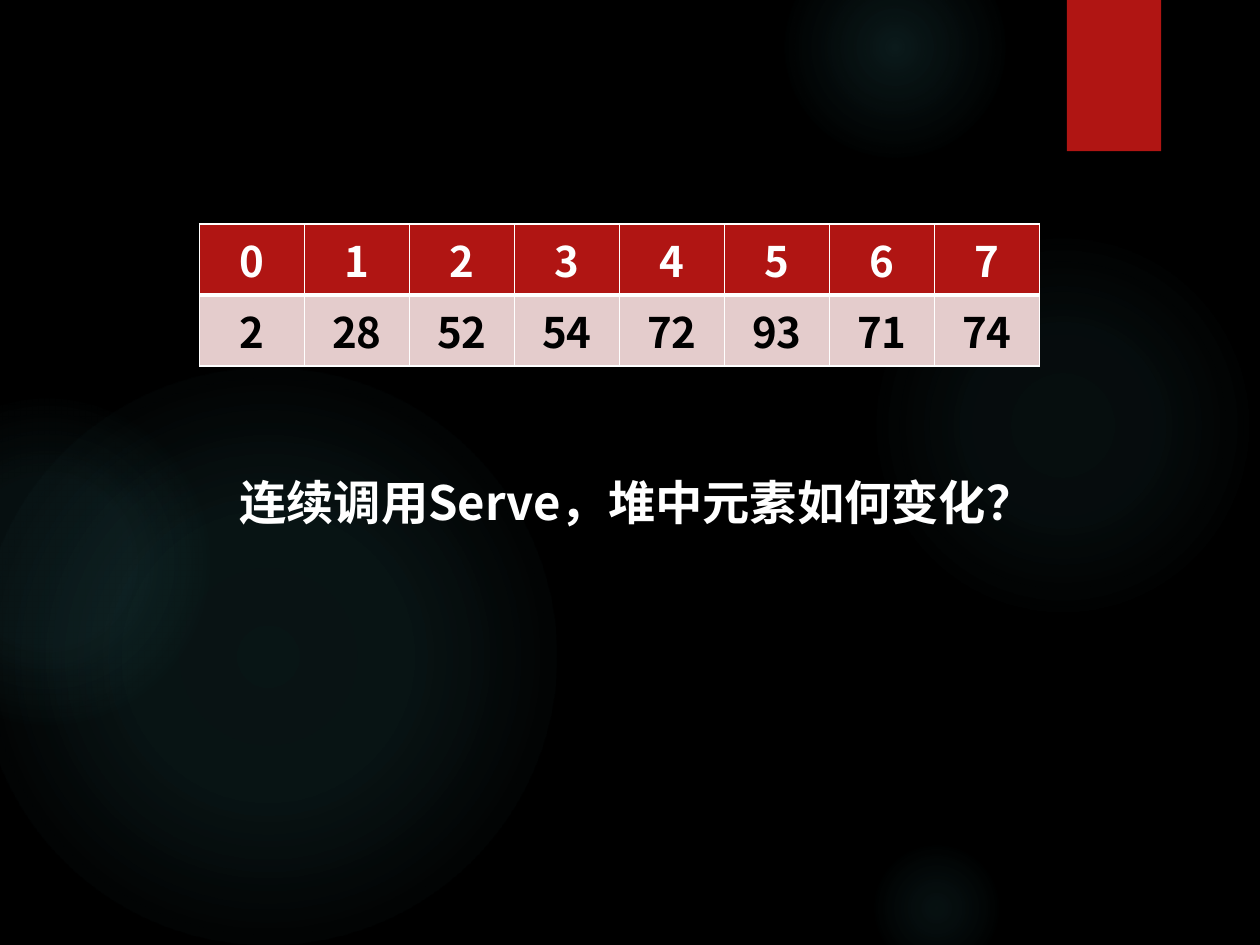
import collections
import pptx
import pptx.dml.color
import pptx.enum.lang
import pptx.enum.shapes
import pptx.enum.text
import pptx.oxml
import pptx.oxml.ns
import pptx.util

Box = collections.namedtuple("Box", "col row cols rows")
Theme = collections.namedtuple(
    "Theme", "font back ink paper accent tint glow cell_size question_size")
THEME = Theme("Noto Sans CJK SC", "000000", "000000", "FFFFFF", "B01513",
              "E4CCCC", "50B9C1", 24, 27)
UNIT = pptx.util.Inches(1) / 12
PAGE = Box(0, 0, 120, 90)
GLOWS = [
    (Box(82.7, 22, 37, 37), [(0, 7), (36, 6), (69, 0)]),
    (Box(74.7, -6, 21, 21), [(0, 14), (36, 7), (73, 0)]),
    (Box(82.7, 80, 13, 13), [(0, 9), (36, 5), (66, 0)]),
    (Box(-2, 35, 55, 55), [(0, 11), (36, 10), (75, 0)]),
    (Box(-11, 38, 31, 31), [(0, 8), (36, 8), (72, 0)]),
]
HEAP = [2, 28, 52, 54, 72, 93, 71, 74]


def rgb(color):
    """Turn a hex string into a colour."""
    return pptx.dml.color.RGBColor.from_string(color)


def emu(box):
    """Turn a box in grid units into slide lengths."""
    return [round(n * UNIT) for n in box]


def xml(tag, body="", attrs=""):
    """Make one DrawingML element."""
    ns = pptx.oxml.ns.nsdecls("a")
    return pptx.oxml.parse_xml(f"<a:{tag} {ns} {attrs}>{body}</a:{tag}>")


def solid(color, alpha=100):
    """Write a colour with its opacity in percent."""
    return (f'<a:srgbClr val="{color}"><a:alpha val="{alpha * 1000}"/>'
            "</a:srgbClr>")


def write(tf, text, size, color, align=pptx.enum.text.PP_ALIGN.LEFT, bold=True):
    """Put one formatted line of text into a text frame."""
    p = tf.paragraphs[0]
    p.alignment = align
    r = p.add_run()
    r.text = text
    r.font.size = pptx.util.Pt(size)
    r.font.bold = bold
    r.font.color.rgb = rgb(color)
    r.font.name = THEME.font
    r.font.language_id = pptx.enum.lang.MSO_LANGUAGE_ID.SIMPLIFIED_CHINESE
    r.font._element.append(xml("ea", attrs=f'typeface="{THEME.font}"'))


def add_plain(s, kind, box):
    """Add a preset shape without a line or shadow."""
    sp = s.shapes.add_shape(kind, *emu(box))
    sp.shadow.inherit = False
    sp.line.fill.background()
    return sp


def add_glow(s, box, stops):
    """Add a circle that fades out from its centre."""
    sp = add_plain(s, pptx.enum.shapes.MSO_SHAPE.OVAL, box)
    marks = "".join(f'<a:gs pos="{pos * 1000}">{solid(THEME.glow, alpha)}</a:gs>'
                    for pos, alpha in stops)
    centre = '<a:fillToRect l="50000" t="50000" r="50000" b="50000"/>'
    grad = xml("gradFill", f'<a:gsLst>{marks}</a:gsLst>'
                           f'<a:path path="circle">{centre}</a:path>')
    sp._element.spPr.find(pptx.oxml.ns.qn("a:prstGeom")).addnext(grad)


def add_ribbon(s, box):
    """Add the accent ribbon with its soft shadow."""
    sp = add_plain(s, pptx.enum.shapes.MSO_SHAPE.RECTANGLE, box)
    sp.fill.solid()
    sp.fill.fore_color.rgb = rgb(THEME.accent)
    effects = sp._element.spPr.find(pptx.oxml.ns.qn("a:effectLst"))
    effects.append(xml("outerShdw", solid(THEME.back, 45),
                       'blurRad="38100" dist="25400" dir="5400000"'))


def add_backdrop(s, box):
    """Fill the page and place its glows and ribbon."""
    s.background.fill.solid()
    s.background.fill.fore_color.rgb = rgb(THEME.back)
    for glow, stops in GLOWS:
        add_glow(s, glow._replace(col=box.col + glow.col, row=box.row + glow.row),
                 stops)
    add_ribbon(s, Box(box.col + 101.6, box.row, 9, 14.4))


def format_cell(cell, text, color, fill, top, bottom):
    """Fill one cell and draw its borders."""
    cell.fill.solid()
    cell.fill.fore_color.rgb = rgb(fill)
    cell.vertical_anchor = pptx.enum.text.MSO_ANCHOR.MIDDLE
    cell.margin_left = cell.margin_right = pptx.util.Inches(0.07)
    cell.margin_top = cell.margin_bottom = pptx.util.Inches(0.04)
    write(cell.text_frame, text, THEME.cell_size, color,
          align=pptx.enum.text.PP_ALIGN.CENTER)
    borders = [("lnL", 1), ("lnR", 1), ("lnT", top), ("lnB", bottom)]
    for i, (tag, width) in enumerate(borders):
        line = xml(tag, f"<a:solidFill>{solid(THEME.paper)}</a:solidFill>",
                   f'w="{pptx.util.Pt(width)}"')
        cell._tc.tcPr.insert(i, line)


def add_heap_table(s, box, values):
    """Show the array indices above the heap values."""
    table = s.shapes.add_table(2, len(values), *emu(box)).table
    table.horz_banding = False
    for i, value in enumerate(values):
        table.columns[i].width = round(box.cols / len(values) * UNIT)
        format_cell(table.cell(0, i), str(i), THEME.paper, THEME.accent, 1, 3)
        format_cell(table.cell(1, i), str(value), THEME.ink, THEME.tint, 3, 1)


def add_question(s, box, text):
    """Place the question in the title, in front of the backdrop."""
    sp = s.shapes.title
    sp.left, sp.top, sp.width, sp.height = emu(box)
    tf = sp.text_frame
    tf.word_wrap = True
    tf.auto_size = pptx.enum.text.MSO_AUTO_SIZE.SHAPE_TO_FIT_TEXT
    tf.vertical_anchor = pptx.enum.text.MSO_ANCHOR.TOP
    write(tf, text, THEME.question_size, THEME.paper)
    s.shapes._spTree.append(sp._element)


def main():
    """Build the slide and save it."""
    prs = pptx.Presentation()
    prs.slide_width, prs.slide_height = emu(PAGE)[2:]
    s = prs.slides.add_slide(prs.slide_layouts.get_by_name("Title Only"))
    add_backdrop(s, PAGE)
    add_heap_table(s, Box(19, 21.35, 80, 11.35), HEAP)
    add_question(s, Box(21.6, 44.5, 77.4, 6.7), "连续调用Serve，堆中元素如何变化？")
    prs.save("out.pptx")


if __name__ == "__main__":
    main()
